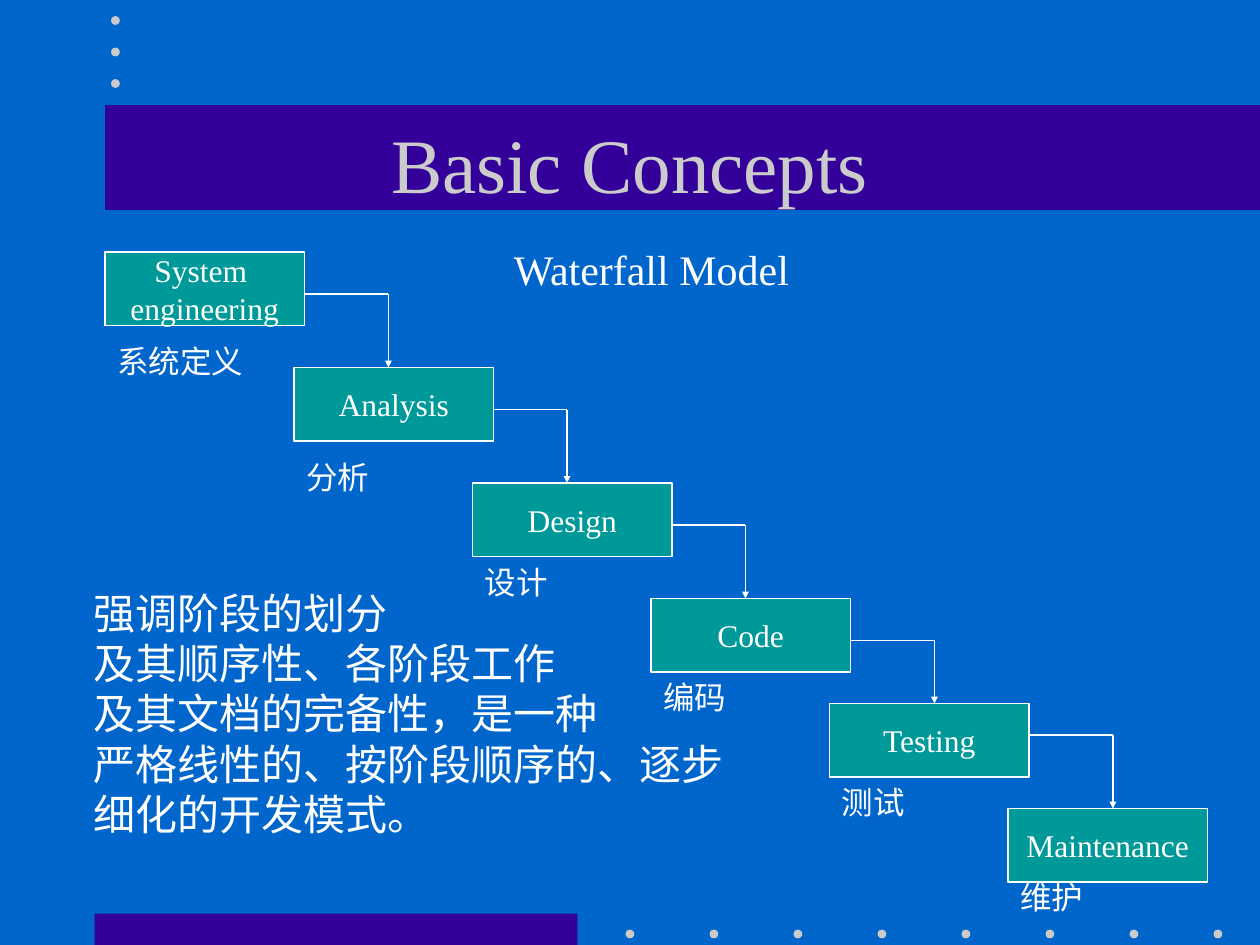
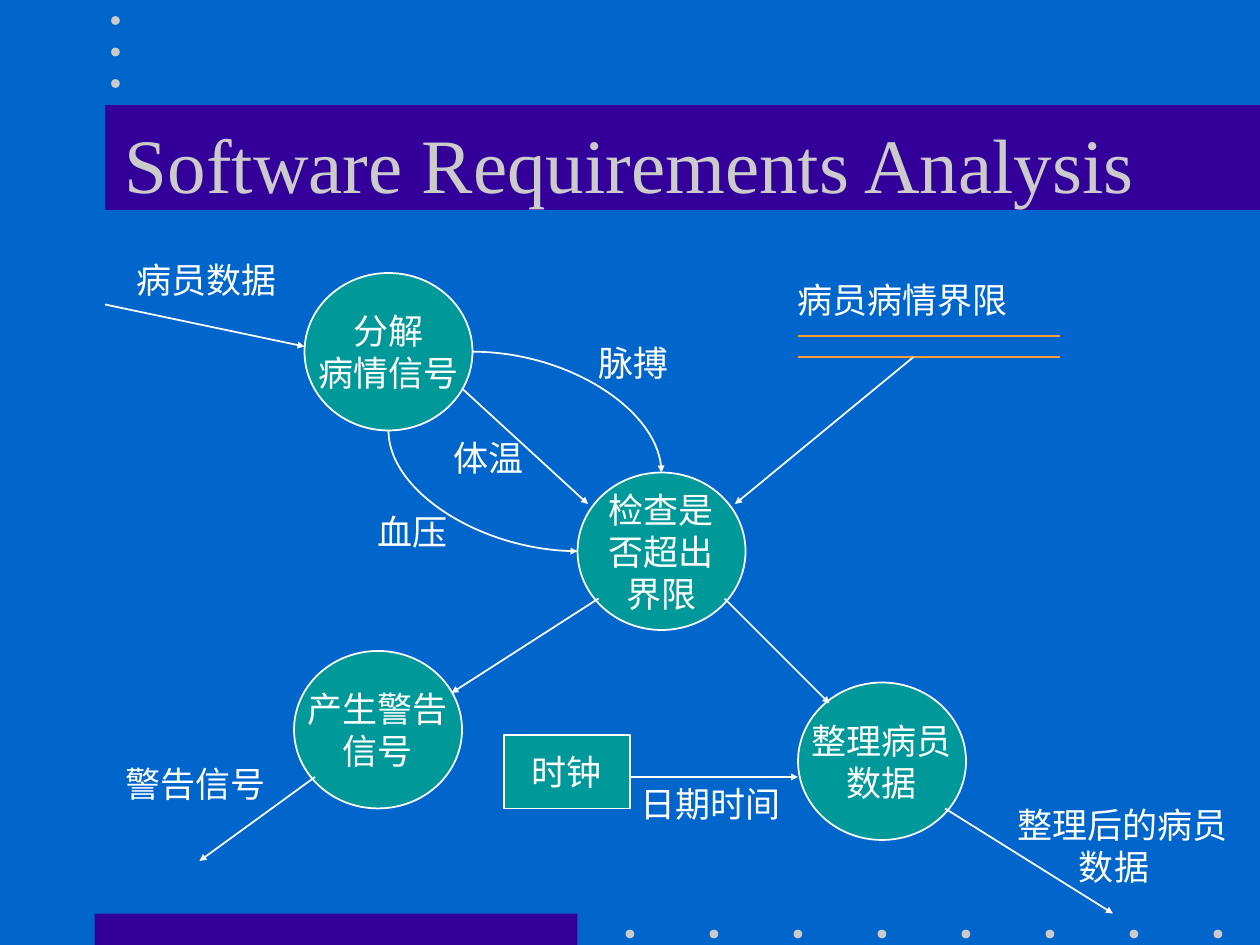
from lxml.etree import SubElement
from pptx import Presentation
from pptx.dml.color import RGBColor
from pptx.enum.shapes import MSO_CONNECTOR, MSO_SHAPE
from pptx.enum.text import MSO_ANCHOR, MSO_AUTO_SIZE, PP_ALIGN
from pptx.oxml.ns import qn
from pptx.util import Pt

COLORS = {
    "background": "0066CC",
    "band": "330099",
    "muted": "CBCBCB",
    "node": "009999",
    "white": "FFFFFF",
    "store": "FF9933",
}
FONT = "Times New Roman"
STAGE_W, STAGE_H = 114, 42
PROCESS_W, PROCESS_H = 96, 90

# English name, Chinese name, left, top, drop to Chinese name
STAGES = [
    (["System ", "engineering"], "系统定义", 60, 144, 48),
    (["Analysis"], "分析", 168, 210, 48),
    (["Design"], "设计", 270, 276, 42),
    (["Code"], "编码", 372, 342, 42),
    (["Testing"], "测试", 474, 402, 42),
    (["Maintenance"], "维护", 576, 462, 36),
]
# Arrow height below the stage's top, turning point right of the next stage's left
STEPS = [(24, 54), (24, 54), (24, 54), (24, 60), (18, 60)]

SUMMARY = [
    "强调阶段的划分",
    "及其顺序性、各阶段工作",
    "及其文档的完备性，是一种",
    "严格线性的、按阶段顺序的、逐步",
    "细化的开发模式。",
]

PROCESSES = [
    (["分解", "病情信号"], 174, 156),
    (["整理病员", "数据"], 456, 390),
    (["检查是", "否超出", "界限"], 330, 270),
    (["产生警告", "信号"], 168, 372),
]
FLOWS = [
    (60, 174, 174, 198),
    (264, 222, 336, 288),
    (522, 204, 420, 288),
    (342, 342, 258, 396),
    (180, 444, 114, 492),
    (414, 342, 474, 402),
    (540, 462, 636, 522),
    (360, 444, 456, 444),
]
# Name of the data, left, top
DATA_LABELS = [
    ("日期时间", 359, 443.5),
    ("病员病情界限", 448.5, 155.5),
    ("体温", 252, 246),
    ("血压", 208.5, 288),
    ("脉搏", 335, 191.5),
    ("病员数据", 71, 144),
    ("警告信号", 64.5, 432),
]


def rgb(name):
    return RGBColor.from_string(COLORS[name])


def write(frame, lines, size, color="white", align=PP_ALIGN.LEFT):
    for index, line in enumerate(lines):
        paragraph = frame.paragraphs[0] if index == 0 else frame.add_paragraph()
        paragraph.alignment = align
        run = paragraph.add_run()
        run.text = line
        run.font.name = FONT
        run.font.size = Pt(size)
        run.font.color.rgb = rgb(color)


def add_block(slide, kind, left, top, width, height, fill):
    block = slide.shapes.add_shape(kind, Pt(left), Pt(top), Pt(width), Pt(height))
    block.shadow.inherit = False
    block.fill.solid()
    block.fill.fore_color.rgb = rgb(fill)
    block.line.fill.background()
    return block


def add_node(slide, kind, lines, left, top, width, height, size):
    node = add_block(slide, kind, left, top, width, height, "node")
    node.line.color.rgb = rgb("white")
    node.line.width = Pt(1)
    node.text_frame.word_wrap = False
    node.text_frame.vertical_anchor = MSO_ANCHOR.MIDDLE
    write(node.text_frame, lines, size, align=PP_ALIGN.CENTER)


def add_label(slide, lines, left, top, size, width=None):
    """Text box; without a width it fits full-width characters and the insets."""
    width = width or 16 + size * max(map(len, lines))
    height = 7.2 + len(lines) * size * 1.2
    label = slide.shapes.add_textbox(Pt(left), Pt(top), Pt(width), Pt(height))
    frame = label.text_frame
    frame.word_wrap = False
    frame.auto_size = MSO_AUTO_SIZE.SHAPE_TO_FIT_TEXT
    write(frame, lines, size)
    return frame


def add_line(slide, x1, y1, x2, y2, arrow=True, color="white", weight=1,
             kind=MSO_CONNECTOR.STRAIGHT):
    line = slide.shapes.add_connector(kind, Pt(x1), Pt(y1), Pt(x2), Pt(y2))
    line.line.color.rgb = rgb(color)
    line.line.width = Pt(weight)
    if arrow:
        SubElement(line.line._get_or_add_ln(), qn("a:tailEnd"),
                   type="triangle", w="sm", len="sm")
    properties = line._element.spPr
    SubElement(properties, qn("a:effectLst"))
    return properties


def add_curve(slide, x1, y1, x2, y2, down_first=False):
    """Quarter curve, leaving its start sideways or downwards."""
    if down_first:
        # A quarter turn swaps the half sides around the centre
        cx, cy = (x1 + x2) / 2, (y1 + y2) / 2
        half_w, half_h = (y2 - y1) / 2, (x2 - x1) / 2
        x1, y1, x2, y2 = cx + half_w, cy - half_h, cx - half_w, cy + half_h
    properties = add_line(slide, x1, y1, x2, y2, kind=MSO_CONNECTOR.CURVE)
    properties.find(qn("a:prstGeom")).set("prst", "curvedConnector2")
    if down_first:
        properties.find(qn("a:xfrm")).set("rot", "16200000")


def add_base(deck, title):
    slide = deck.slides.add_slide(deck.slide_layouts[6])
    slide.background.fill.solid()
    slide.background.fill.fore_color.rgb = rgb("background")

    # Bands and dots
    add_block(slide, MSO_SHAPE.RECTANGLE, 54, 522, 276, 18, "band")
    add_block(slide, MSO_SHAPE.RECTANGLE, 60, 60, 660, 60, "band")
    dots = [(357.5 + 48 * i, 531.25) for i in range(8)]
    dots += [(63.5, 9.25 + 18 * i) for i in range(3)]
    for left, top in dots:
        add_block(slide, MSO_SHAPE.OVAL, left, top, 5, 5, "muted")

    # Title
    heading = slide.shapes.add_textbox(Pt(54), Pt(48), Pt(612), Pt(90)).text_frame
    heading.word_wrap = True
    heading.vertical_anchor = MSO_ANCHOR.MIDDLE
    write(heading, [title], 44, "muted", PP_ALIGN.CENTER)
    return slide


def build_waterfall(deck):
    slide = add_base(deck, "Basic Concepts")

    # Stages with their Chinese names
    for english, chinese, left, top, drop in STAGES:
        add_node(slide, MSO_SHAPE.RECTANGLE, english, left, top, STAGE_W, STAGE_H, 18)
        add_label(slide, [chinese], left, top + drop, 18)

    # Stepped arrows from each stage to the next
    for stage, following, (depth, offset) in zip(STAGES, STAGES[1:], STEPS):
        level, turn = stage[3] + depth, following[2] + offset
        add_line(slide, stage[2] + STAGE_W, level, turn, level, arrow=False)
        add_line(slide, turn, level, turn, following[3])

    # Summary and model name
    add_label(slide, SUMMARY, 46.5, 332, 24)
    add_label(slide, ["Waterfall Model"], 286.5, 135.5, 24, width=173.5)


def build_data_flow(deck):
    slide = add_base(deck, "Software Requirements Analysis")

    # Processes and the clock
    for lines, left, top in PROCESSES:
        add_node(slide, MSO_SHAPE.OVAL, lines, left, top, PROCESS_W, PROCESS_H, 20)
    add_node(slide, MSO_SHAPE.RECTANGLE, ["时钟"], 288, 420, 72, 42, 20)

    # Data store
    for level in (192, 204):
        add_line(slide, 456, level, 606, level, False, "store", 1.5)

    # Flows
    for flow in FLOWS:
        add_line(slide, *flow)
    add_curve(slide, 270, 201, 378, 270)
    add_curve(slide, 222, 246, 330, 315, down_first=True)

    # Names of the data
    for name, left, top in DATA_LABELS:
        add_label(slide, [name], left, top, 20)
    sorted_data = add_label(slide, ["整理后的病员", "数据"], 574.5, 455.5, 20)
    sorted_data.paragraphs[1]._p.get_or_add_pPr().set("marL", str(Pt(35)))


def main():
    deck = Presentation()
    deck.slide_width, deck.slide_height = Pt(720), Pt(540)
    build_waterfall(deck)
    build_data_flow(deck)
    deck.save("out.pptx")


if __name__ == "__main__":
    main()
